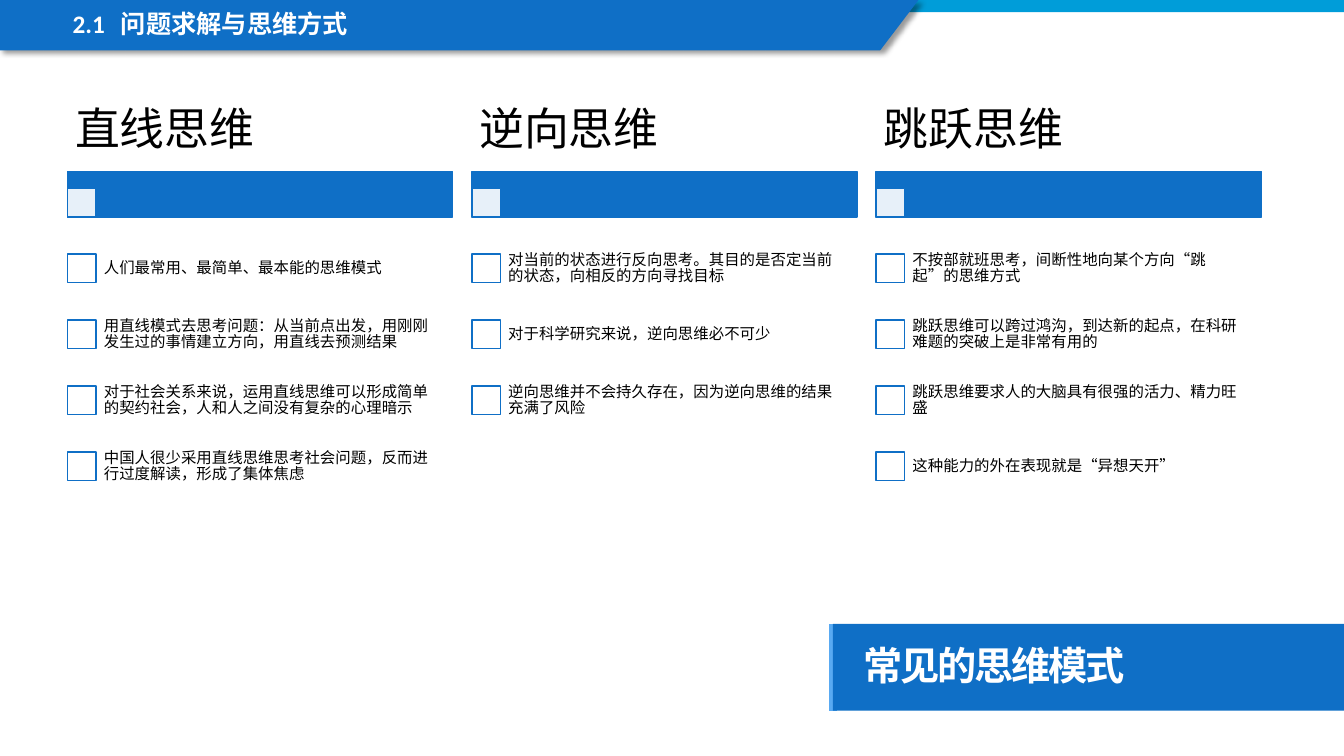
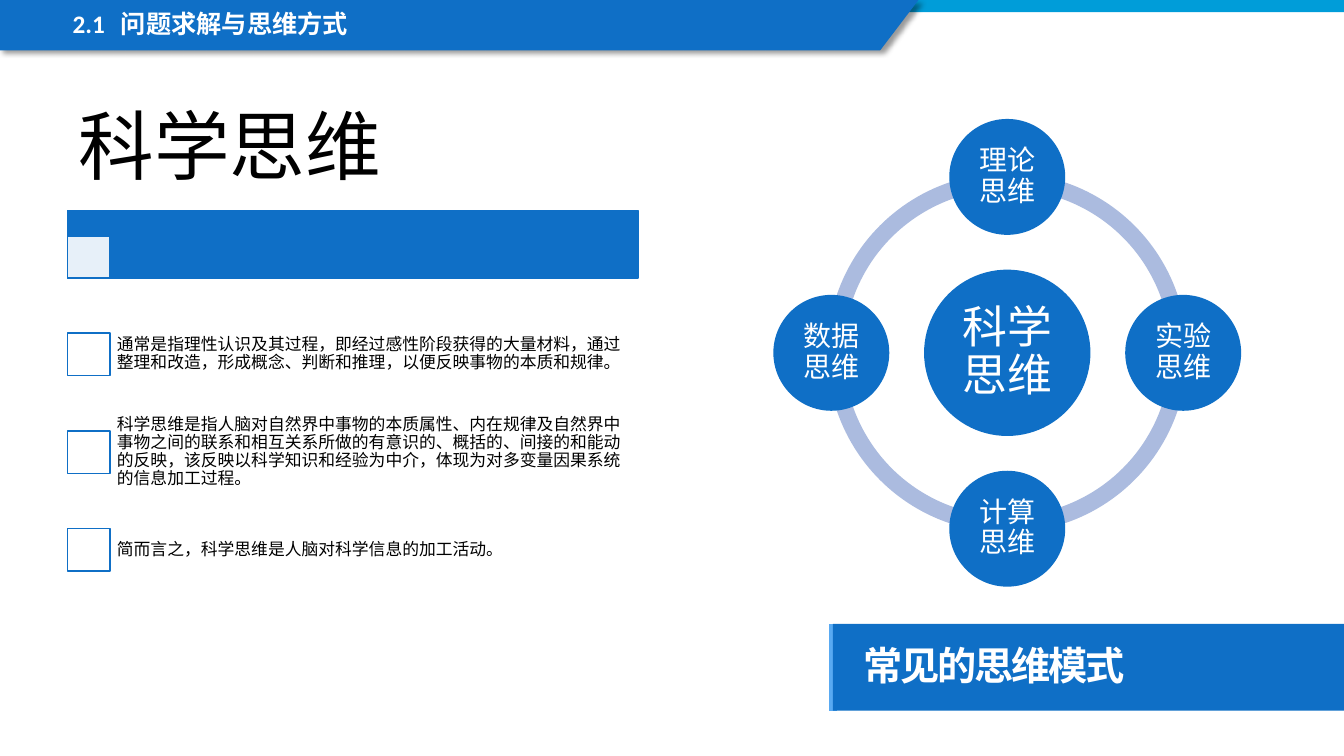
from lxml import etree
from pptx import Presentation
from pptx import util as u
from pptx.dml.color import RGBColor
from pptx.enum import shapes as kinds, text as txt
from pptx.oxml.ns import qn

BLUE = RGBColor(0x0F, 0x6F, 0xC6)
SKY = RGBColor(0x00, 0x9D, 0xD9)
LIGHT_BLUE = RGBColor(0x59, 0xAA, 0xF2)
RING = RGBColor(0xAB, 0xBB, 0xDF)
WHITE = RGBColor(0xFF, 0xFF, 0xFF)
BLACK = RGBColor(0x00, 0x00, 0x00)

CJK = "Noto Sans CJK SC"
LATIN = "Calibri"
SLIDE_W, SLIDE_H = 13.33, 7.5
LABEL_LEFT, LABEL_TOP, LABEL_H = 8.26, 6.19, 0.86
CHAPTER = "2.1\t问题求解与思维方式"
LABEL = "常见的思维模式"

MODES = [
    ("直线思维", [
        "人们最常用、最简单、最本能的思维模式",
        "用直线模式去思考问题：从当前点出发，用刚刚发生过的事情建立方向，用直线去预测结果",
        "对于社会关系来说，运用直线思维可以形成简单的契约社会，人和人之间没有复杂的心理暗示",
        "中国人很少采用直线思维思考社会问题，反而进行过度解读，形成了集体焦虑",
    ]),
    ("逆向思维", [
        "对当前的状态进行反向思考。其目的是否定当前的状态，向相反的方向寻找目标",
        "对于科学研究来说，逆向思维必不可少",
        "逆向思维并不会持久存在，因为逆向思维的结果充满了风险",
    ]),
    ("跳跃思维", [
        "不按部就班思考，间断性地向某个方向“跳起”的思维方式",
        "跳跃思维可以跨过鸿沟，到达新的起点，在科研难题的突破上是非常有用的",
        "跳跃思维要求人的大脑具有很强的活力、精力旺盛",
        "这种能力的外在表现就是“异想天开”",
    ]),
]
SCIENCE = ("科学思维", [
    "通常是指理性认识及其过程，即经过感性阶段获得的大量材料，通过整理和改造，形成概念、判断和推理，以便反映事物的本质和规律。",
    "科学思维是指人脑对自然界中事物的本质属性、内在规律及自然界中事物之间的联系和相互关系所做的有意识的、"
    "概括的、间接的和能动的反映，该反映以科学知识和经验为中介，体现为对多变量因果系统的信息加工过程。",
    "简而言之，科学思维是人脑对科学信息的加工活动。",
])
# Clockwise from the top
BRANCHES = ["理论思维", "实验思维", "计算思维", "数据思维"]


def box(*lengths):
    return [u.Inches(length) for length in lengths]


def set_all(target, formats):
    for name, value in formats.items():
        setattr(target, name, value)


def paint(shape, fill, line=None, alpha=None):
    """Flat fill, optional outline, no shadow."""
    shape.shadow.inherit = False
    shape.fill.solid()
    shape.fill.fore_color.rgb = fill
    if alpha:
        color = next(shape.element.spPr.iter(qn("a:srgbClr")))
        etree.SubElement(color, qn("a:alpha"), val=str(alpha * 1000))
    if line is None:
        shape.line.fill.background()
    else:
        shape.line.color.rgb = line
        shape.line.width = u.Pt(1)
    return shape


def add_block(shapes, kind, place, *colors, **options):
    return paint(shapes.add_shape(kind, *box(*place)), *colors, **options)


def write(shape, words, size, color, insets, font=CJK, bold=False, spacing=None,
          align=txt.PP_ALIGN.LEFT, anchor=txt.MSO_ANCHOR.MIDDLE, tab=None):
    frame = shape.text_frame
    left, top, right, bottom = box(*insets)
    set_all(frame, dict(word_wrap=True, auto_size=txt.MSO_AUTO_SIZE.NONE, vertical_anchor=anchor,
                        margin_left=left, margin_top=top, margin_right=right, margin_bottom=bottom))
    paragraph = frame.paragraphs[0]
    set_all(paragraph, dict(alignment=align, line_spacing=0.9))
    if tab:
        properties = next(shape.element.iter(qn("a:pPr")))
        stops = etree.SubElement(properties, qn("a:tabLst"))
        etree.SubElement(stops, qn("a:tab"), pos=str(u.Inches(tab)), algn="l")
    run = paragraph.add_run()
    run.text = words
    set_all(run.font, dict(size=u.Pt(size), bold=bold, name=font))
    run.font.color.rgb = color
    for properties in shape.element.iter(qn("a:rPr")):
        etree.SubElement(properties, qn("a:ea"), typeface=CJK)
        if spacing:
            properties.set("spc", str(spacing))


def decorate_layout(layout, slide):
    """Build the shared bands with the slide's shape tools, then move them to the layout."""
    accent = slide.shapes.add_connector(
        kinds.MSO_CONNECTOR.STRAIGHT,
        *box(LABEL_LEFT, LABEL_TOP + LABEL_H, LABEL_LEFT, LABEL_TOP))
    accent.line.color.rgb = LIGHT_BLUE
    accent.line.width = u.Pt(6)
    etree.SubElement(accent.element.spPr, qn("a:effectLst"))

    strip = add_block(slide.shapes, kinds.MSO_SHAPE.RECTANGLE, (0, 0, SLIDE_W, 0.12), SKY)

    outline = slide.shapes.build_freeform(0, 0)
    outline.add_line_segments([box(9.11, 0), box(8.73, 0.5), box(0, 0.5)])
    banner = paint(outline.convert_to_shape(), BLUE)
    effects = banner.element.spPr.find(qn("a:effectLst"))
    shadow = etree.SubElement(effects, qn("a:outerShdw"), blurRad=str(u.Pt(4)), dist=str(u.Pt(3)),
                              dir=str(45 * 60000), algn="tl", rotWithShape="0")
    color = etree.SubElement(shadow, qn("a:srgbClr"), val=str(BLACK))
    etree.SubElement(color, qn("a:alpha"), val="40000")

    tree = layout.placeholders[0].element.getparent()
    for part in (accent, strip, banner):
        tree.append(part.element)


def add_headings(slide):
    """Chapter title in the top band and topic label at the lower right."""
    title = slide.shapes.title
    title.left, title.top, title.width, title.height = box(0.62, 0.07, 6.96, 0.38)
    write(title, CHAPTER, 18, WHITE, (0.1, 0.05, 0.1, 0.05), font=LATIN, bold=True,
          anchor=txt.MSO_ANCHOR.TOP, tab=0.48)
    label = add_block(slide.shapes, kinds.MSO_SHAPE.RECTANGLE,
                      (LABEL_LEFT, LABEL_TOP, SLIDE_W - LABEL_LEFT, LABEL_H), BLUE)
    write(label, LABEL, 28, WHITE, (0.3, 0.2, 0.2, 0.2), bold=True, spacing=-150)


def add_checklist(slide, left, top, width, content, heading_size, item_size):
    """Heading, bar and ticked items; every part scales with the width."""
    heading, items = content
    scale = width / 5.66
    heading_h, bar_h, tick, gap, row_h, indent = (
        scale * part for part in (1.2, 0.67, 0.42, 0.27, 0.97, 0.4))
    shapes = slide.shapes.add_group_shape().shapes
    square = kinds.MSO_SHAPE.RECTANGLE

    # Heading over its bar
    bar_top = top + heading_h
    bar_bottom = bar_top + bar_h
    add_block(shapes, square, (left, bar_top, width, bar_h), BLUE, BLUE)
    add_block(shapes, square, (left, bar_bottom - tick, tick, tick), WHITE, BLUE, alpha=90)
    write(shapes.add_textbox(*box(left, top, width, heading_h)), heading, heading_size, BLACK,
          (0.11 * scale, 0.07 * scale) * 2)

    # Items
    for row, item in enumerate(items):
        row_top = bar_bottom + gap + row * row_h
        add_block(shapes, square, (left, row_top + (row_h - tick) / 2, tick, tick), WHITE, BLUE)
        words = shapes.add_textbox(*box(left + indent, row_top, width - indent, row_h))
        write(words, item, item_size, BLACK, (0.09,) * 4)


def add_cycle(slide, left, top, size, hub, branches):
    """Ring of branches around a hub, inside a square box."""
    shapes = slide.shapes.add_group_shape().shapes
    center_x, center_y = left + size / 2, top + size / 2
    ring_d, hub_d, branch_d = 3.57, 1.65, 1.15
    orbit = (size - branch_d) / 2

    def centered(x, y, diameter):
        return x - diameter / 2, y - diameter / 2, diameter, diameter

    def add_disc(x, y, diameter, words, font_size, inset):
        disc = add_block(shapes, kinds.MSO_SHAPE.OVAL, centered(x, y, diameter), BLUE)
        write(disc, words, font_size, WHITE, (inset,) * 4, font=LATIN,
              align=txt.PP_ALIGN.CENTER)

    # Quarter arcs: 54 adjustment units make 90 degrees
    for quarter in range(4):
        arc = add_block(shapes, kinds.MSO_SHAPE.BLOCK_ARC,
                        centered(center_x, center_y, ring_d), RING)
        for index, value in enumerate((54 * quarter, 54 * (quarter + 1) % 216, 0.046)):
            arc.adjustments[index] = value

    add_disc(center_x, center_y, hub_d, hub, 32, 0.04)
    directions = [(0, -1), (1, 0), (0, 1), (-1, 0)]
    for branch, (dx, dy) in zip(branches, directions):
        add_disc(center_x + dx * orbit, center_y + dy * orbit, branch_d, branch, 20, 0.03)


def build_modes_slide(slide):
    add_headings(slide)
    for column, mode in enumerate(MODES):
        add_checklist(slide, 0.67 + column * 4.01, 0.89, 3.82, mode, 32, 11)


def build_science_slide(slide):
    add_headings(slide)
    add_checklist(slide, 0.67, 0.89, 5.66, SCIENCE, 54, 12)
    add_cycle(slide, 7.67, 1.18, 4.64, SCIENCE[0], BRANCHES)


def main():
    deck = Presentation()
    deck.slide_width, deck.slide_height = box(SLIDE_W, SLIDE_H)
    layout = deck.slide_layouts[5]
    modes_slide, science_slide = (deck.slides.add_slide(layout) for _ in range(2))
    decorate_layout(layout, modes_slide)
    build_modes_slide(modes_slide)
    build_science_slide(science_slide)
    deck.save("out.pptx")


if __name__ == "__main__":
    main()
